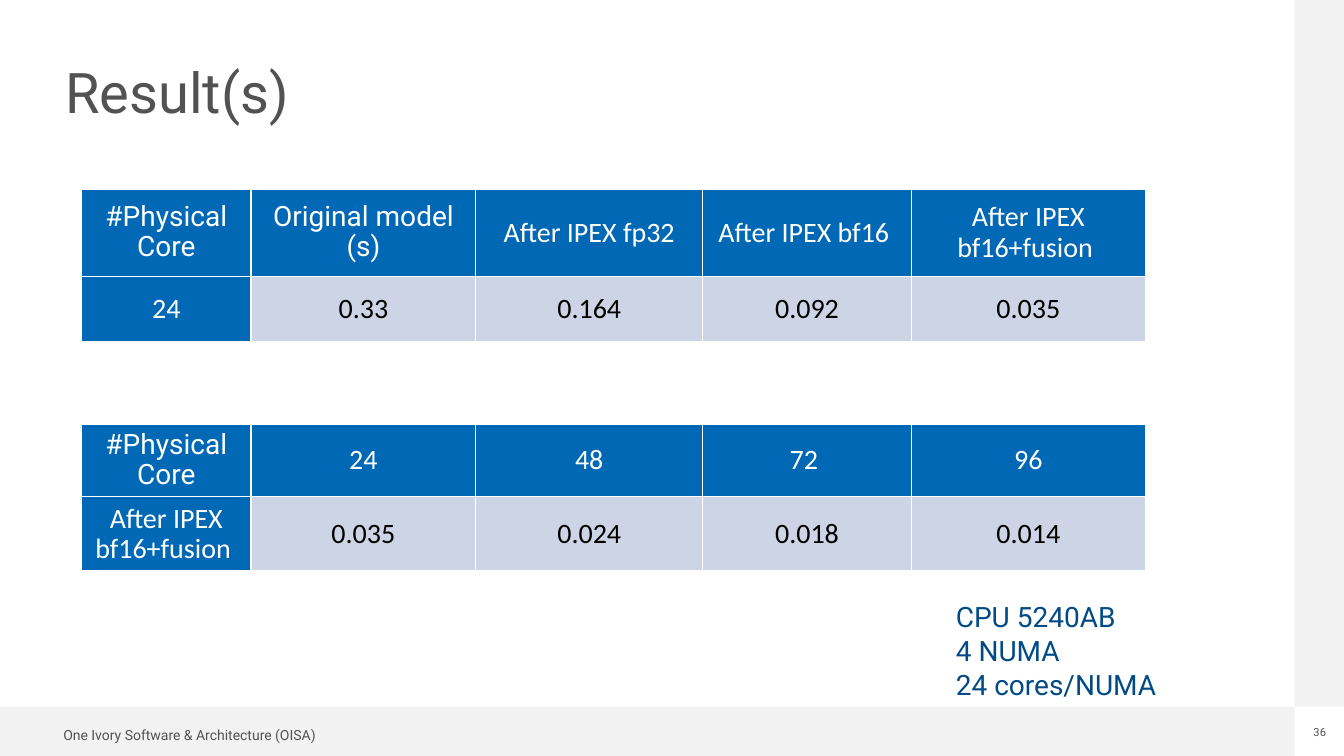
from lxml.etree import SubElement
from pptx import Presentation
from pptx.dml.color import RGBColor
from pptx.enum.shapes import MSO_SHAPE as SHAPE
from pptx.enum.text import MSO_ANCHOR as ANCHOR, PP_ALIGN as ALIGN
from pptx.oxml.ns import qn
from pptx.util import Inches, Pt

BLUE, PALE, GREY, BAND = "0068B5", "CCD4E5", "525252", "F2F2F2"
WIDTH, HEIGHT = 13.33, 7.5
STRIP = 0.49  # thickness of the bottom and right bands


def rgb(value):
    return RGBColor.from_string(value)


def write(frame, text, font, size, color, align=ALIGN.LEFT, spacing=1.0):
    frame.text = text
    for paragraph in frame.paragraphs:
        paragraph.alignment = align
        paragraph.line_spacing = spacing
        for run in paragraph.runs:
            for name, value in dict(name=font, size=Pt(size)).items():
                setattr(run.font, name, value)
            run.font.color.rgb = rgb(color)


deck = Presentation()
deck.slide_width, deck.slide_height = Inches(WIDTH), Inches(HEIGHT)
slide = deck.slides.add_slide(deck.slide_layouts[5])

# Bands along the bottom and the right edge, leaving the corner free
inner_width, inner_height = WIDTH - STRIP, HEIGHT - STRIP
for place in [(0, inner_height, inner_width, STRIP),
              (inner_width, 0, STRIP, inner_height)]:
    band = slide.shapes.add_shape(SHAPE.RECTANGLE, *map(Inches, place))
    band.shadow.inherit = False
    band.fill.solid()
    band.fill.fore_color.rgb = rgb(BAND)
    band.line.fill.background()

# Title
title = slide.shapes.title
for side, value in dict(left=0.65, top=0.65, width=12, height=1).items():
    setattr(title, side, Inches(value))
heading = title.text_frame
heading.vertical_anchor = ANCHOR.TOP
write(heading, "Result(s)", "Roboto", 40, GREY, spacing=0.9)

# Footer, page number and hardware note: place, inset, wrap, text, format
notes = [
    ((0.53, 7.18, 2.83, 0.25), None, True,
     "One Ivory Software & Architecture (OISA)", (10, GREY, ALIGN.LEFT, 0.9)),
    ((13.02, 7.2, 0.14, 0.13), 0, False, "36", (8, GREY, ALIGN.CENTER, 1.0)),
    ((9.48, 5.95, 3.01, 1.01), 0, True,
     "CPU 5240AB\n4 NUMA\n24 cores/NUMA", (20, "004A86", ALIGN.LEFT, 1.0)),
]
frames = [heading]
for place, inset, wrap, text, (size, color, align, spacing) in notes:
    frame = slide.shapes.add_textbox(*map(Inches, place)).text_frame
    frame.word_wrap = wrap
    write(frame, text, "Roboto", size, color, align, spacing)
    if inset == 0:
        frames.append(frame)
for frame in frames:
    for side in ("left", "top", "right", "bottom"):
        setattr(frame, f"margin_{side}", 0)

# Result tables: top, row heights, rows
columns = [1.68, 2.23, 2.25, 2.07, 2.32]
results = [
    (1.88, [0.86, 0.65], [
        ["#Physical Core", "Original model (s)", "After IPEX fp32",
         "After IPEX bf16 ", "After IPEX bf16+fusion "],
        ["24", "0.33", "0.164", "0.092", "0.035"]]),
    (4.21, [0.72, 0.73], [
        ["#Physical Core", "24", "48", "72 ", "96"],
        ["After IPEX bf16+fusion ", "0.035", "0.024", "0.018", "0.014"]]),
]
roboto_labels = {"#Physical Core", "Original model (s)"}
for top, heights, rows in results:
    place = (0.81, top, sum(columns), sum(heights))
    table = slide.shapes.add_table(
        len(rows), len(columns), *map(Inches, place)).table
    for column, width in zip(table.columns, columns):
        column.width = Inches(width)
    for r, (height, texts) in enumerate(zip(heights, rows)):
        table.rows[r].height = Inches(height)
        for c, text in enumerate(texts):
            cell = table.cell(r, c)
            is_label = r == 0 or c == 0
            side_inset = 0.06 if r == 0 else 0.01
            margins = dict(left=side_inset, right=side_inset,
                           top=0.01 * r, bottom=0)
            for side, value in margins.items():
                setattr(cell, f"margin_{side}", Inches(value))
            cell.vertical_anchor = ANCHOR.MIDDLE
            write(cell.text_frame, text,
                  "Roboto" if text in roboto_labels else "Calibri", 20,
                  "FFFFFF" if is_label else "000000", ALIGN.CENTER, 0.9)
            # White borders come before the fill in the cell properties
            props = cell._tc.get_or_add_tcPr()
            for edge in ("a:lnL", "a:lnR", "a:lnT", "a:lnB"):
                line = SubElement(props, qn(edge), w=str(Pt(1)))
                paint = SubElement(line, qn("a:solidFill"))
                SubElement(paint, qn("a:srgbClr"), val="FFFFFF")
            cell.fill.solid()
            cell.fill.fore_color.rgb = rgb(BLUE if is_label else PALE)

deck.save("out.pptx")
